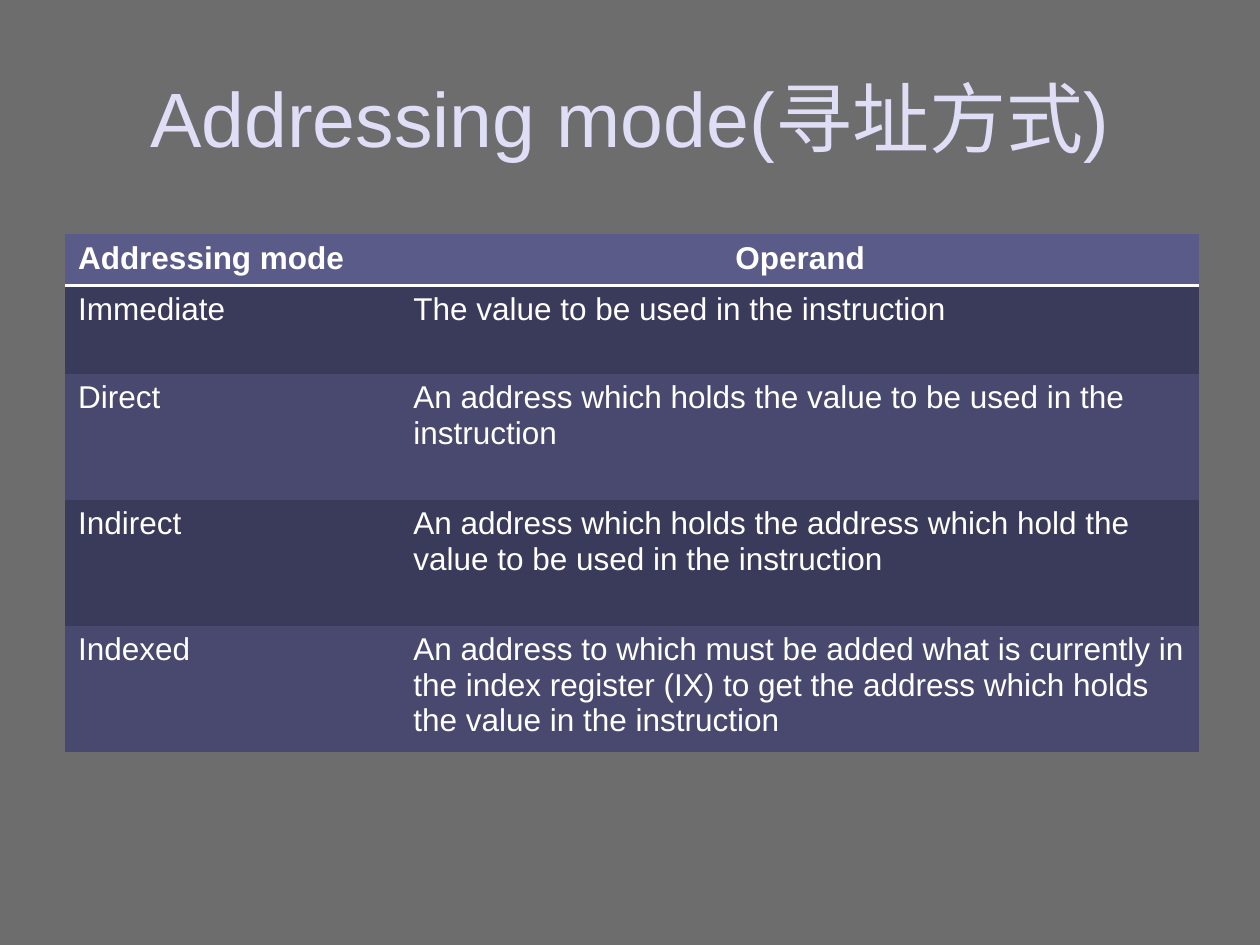
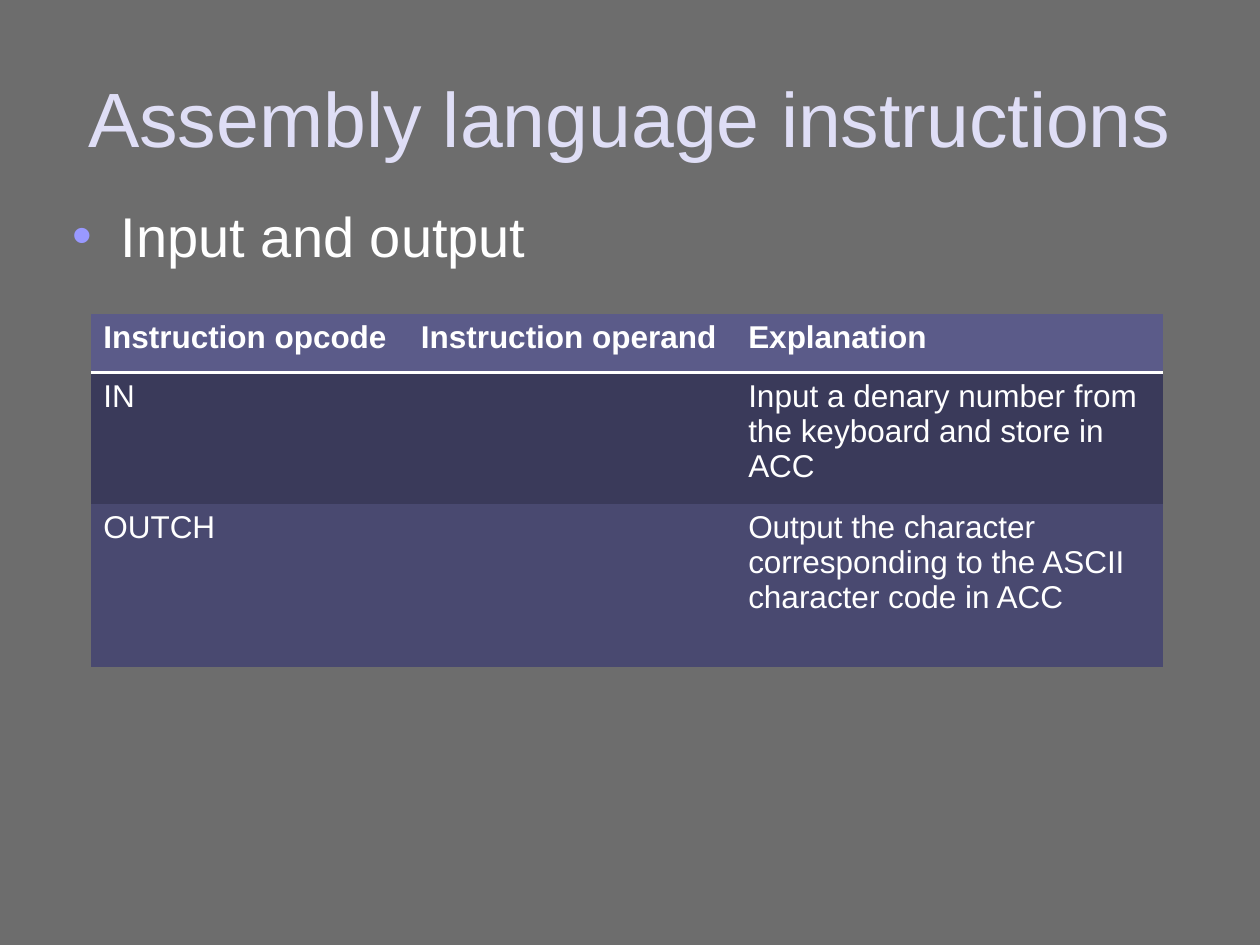
from dataclasses import dataclass

from lxml import etree
from pptx import Presentation
from pptx import util as u
from pptx.dml.color import RGBColor
from pptx.enum import text
from pptx.oxml import ns


@dataclass(frozen=True)
class Theme:
    background: str = "6D6D6D"
    title: str = "DFDEF6"
    text: str = "FFFFFF"
    bullet: str = "9999FF"
    header: str = "5B5B89"
    bands: tuple[str, str] = ("3A3A5A", "494970")
    font: str = "Arial"
    title_size: int = 44
    body_size: int = 32
    table_size: int = 18
    rule_width: int = 2


@dataclass(frozen=True)
class Box:
    left: float
    top: float
    width: float
    height: float


@dataclass(frozen=True)
class Grid:
    left: float
    top: float
    cols: tuple[float, ...]
    rows: tuple[float, ...]
    cells: tuple[tuple[str, ...], ...]
    centred_headers: tuple[int, ...] = ()


THEME = Theme()
TITLE_BOX = Box(1.27, 0.76, 22.86, 3.18)
BODY_BOX = Box(1.22, 3.94, 22.86, 12.6)
BULLET_INDENT = 0.97
NO_STYLE_NO_GRID = "{2D5ABB26-0587-4C30-8999-92F81FD0307C}"

ADDRESSING_MODES = Grid(
    1.32, 4.72, (6.76, 16.1), (1.04, 1.78, 2.54, 2.54, 2.54),
    (
        ("Addressing mode", "Operand"),
        ("Immediate", "The value to be used in the instruction"),
        ("Direct", "An address which holds the value to be used in the instruction"),
        ("Indirect", "An address which holds the address which hold the value "
                     "to be used in the instruction"),
        ("Indexed", "An address to which must be added what is currently in the index "
                    "register (IX) to get the address which holds the value in the instruction"),
    ),
    centred_headers=(1,),
)

INPUT_OUTPUT = Grid(
    1.83, 6.32, (6.4, 6.6, 8.61), (1.19, 2.64, 3.3),
    (
        ("Instruction opcode", "Instruction operand", "Explanation"),
        ("IN", "", "Input a denary number from the keyboard and store in ACC"),
        ("OUTCH", "", "Output the character corresponding to the ASCII character code in ACC"),
    ),
)


def style_font(font, size: int, color: str, bold: bool = False) -> None:
    """Apply the theme typeface with a size, colour and weight."""
    font.name = THEME.font
    font.size = u.Pt(size)
    font.bold = bold
    font.color.rgb = RGBColor.from_string(color)


def add_element(parent, tag: str, **attributes: str):
    """Append a DrawingML element and return it."""
    return etree.SubElement(parent, ns.qn(tag), attributes)


def add_text(s, box: Box, content: str, size: int, color: str):
    """Add a wrapping text box and return its text frame."""
    sp = s.shapes.add_textbox(u.Cm(box.left), u.Cm(box.top), u.Cm(box.width), u.Cm(box.height))
    tf = sp.text_frame
    tf.word_wrap = True
    tf.text = content
    style_font(tf.paragraphs[0].runs[0].font, size, color)
    return tf


def add_slide(prs, title: str):
    """Add a blank slide with the shared background and title."""
    s = prs.slides.add_slide(prs.slide_layouts[6])
    s.background.fill.solid()
    s.background.fill.fore_color.rgb = RGBColor.from_string(THEME.background)
    tf = add_text(s, TITLE_BOX, title, THEME.title_size, THEME.title)
    tf.vertical_anchor = text.MSO_ANCHOR.MIDDLE
    tf.paragraphs[0].alignment = text.PP_ALIGN.CENTER
    return s


def add_bullet(s, content: str) -> None:
    """Add the body text with a coloured bullet and hanging indent."""
    tf = add_text(s, BODY_BOX, content, THEME.body_size, THEME.text)
    pPr = tf.paragraphs[0]._p.get_or_add_pPr()
    pPr.set("marL", str(u.Cm(BULLET_INDENT)))
    pPr.set("indent", str(-u.Cm(BULLET_INDENT)))
    add_element(add_element(pPr, "a:spcBef"), "a:spcPct", val="20000")
    add_element(add_element(pPr, "a:buClr"), "a:srgbClr", val=THEME.bullet)
    add_element(pPr, "a:buFont", typeface=THEME.font)
    add_element(pPr, "a:buChar", char="•")


def add_bottom_rule(cell) -> None:
    """Draw the rule under a header cell."""
    tcPr = cell._tc.get_or_add_tcPr()
    line = add_element(tcPr, "a:lnB", w=str(u.Pt(THEME.rule_width)))
    add_element(add_element(line, "a:solidFill"), "a:srgbClr", val=THEME.text)
    tcPr.insert(0, line)


def add_grid(s, grid: Grid) -> None:
    """Add a banded table with a ruled header row."""
    frame = s.shapes.add_table(
        len(grid.rows), len(grid.cols), u.Cm(grid.left), u.Cm(grid.top),
        u.Cm(sum(grid.cols)), u.Cm(sum(grid.rows)))
    table = frame.table
    table._tbl.tblPr.find(ns.qn("a:tableStyleId")).text = NO_STYLE_NO_GRID
    table.horz_banding = False
    for column, width in zip(table.columns, grid.cols):
        column.width = u.Cm(width)
    for i, (height, contents) in enumerate(zip(grid.rows, grid.cells)):
        table.rows[i].height = u.Cm(height)
        is_header = i == 0
        fill = THEME.header if is_header else THEME.bands[(i - 1) % 2]
        for j, content in enumerate(contents):
            cell = table.cell(i, j)
            cell.fill.solid()
            cell.fill.fore_color.rgb = RGBColor.from_string(fill)
            p = cell.text_frame.paragraphs[0]
            if content:
                p.text = content
                style_font(p.runs[0].font, THEME.table_size, THEME.text, is_header)
            if is_header:
                add_bottom_rule(cell)
                if j in grid.centred_headers:
                    p.alignment = text.PP_ALIGN.CENTER


def main() -> None:
    """Build and save both slides."""
    prs = Presentation()
    prs.slide_width, prs.slide_height = u.Cm(25.4), u.Cm(19.05)
    add_grid(add_slide(prs, "Addressing mode(寻址方式)"), ADDRESSING_MODES)
    s = add_slide(prs, "Assembly language instructions")
    add_bullet(s, "Input and output")
    add_grid(s, INPUT_OUTPUT)
    prs.save("out.pptx")


if __name__ == "__main__":
    main()
